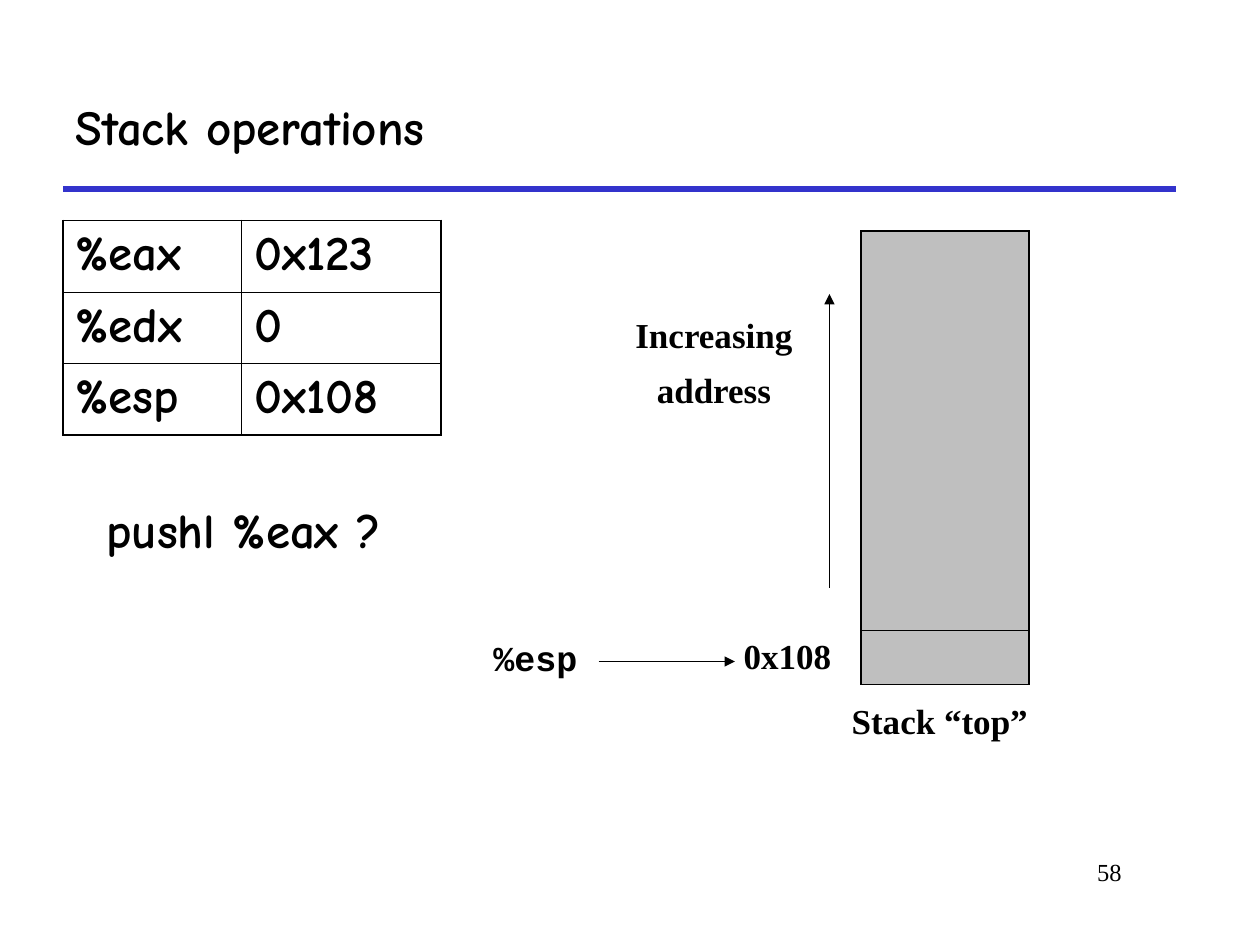
from dataclasses import dataclass

from lxml import etree
from pptx import Presentation
from pptx import util as u
from pptx.dml.color import RGBColor
from pptx.enum import shapes, text
from pptx.oxml.ns import qn


@dataclass(frozen=True)
class Theme:
    ink: str = "000000"
    paper: str = "FFFFFF"
    rule: str = "3333CC"
    stack: str = "808080"
    stack_alpha: int = 50000
    casual: str = "Comic Neue"
    serif: str = "Times New Roman"
    mono: str = "Courier New"
    heading: float = 28
    label: float = 20
    footer: float = 14
    thin: float = 0.75
    thick: float = 3
    inner: float = 0.45
    outer: float = 1.08


THEME = Theme()
WIDTH, HEIGHT = u.Inches(10), u.Inches(7.5)
COLUMNS, ROWS = 120, 90
LEFT, CENTER, RIGHT = (
    text.PP_ALIGN.LEFT, text.PP_ALIGN.CENTER, text.PP_ALIGN.RIGHT)


def across(columns):
    return round(WIDTH * columns / COLUMNS)


def down(rows):
    return round(HEIGHT * rows / ROWS)


def area(left, top, width, height):
    return across(left), down(top), across(width), down(height)


def write(frame, lines, face, size, align=LEFT, before=0, spacing=None, bold=True):
    frame.text = "\n".join(lines)
    for paragraph in frame.paragraphs:
        paragraph.alignment = align
        paragraph.space_before = u.Pt(before)
        paragraph.line_spacing = spacing
        paragraph.font.name = face
        paragraph.font.size = u.Pt(size)
        paragraph.font.bold = bold
        paragraph.font.color.rgb = RGBColor.from_string(THEME.ink)


def add_text(slide, place, lines, face, size, wrap=True,
             anchor=text.MSO_ANCHOR.TOP, **style):
    frame = slide.shapes.add_textbox(*area(*place)).text_frame
    frame.word_wrap = wrap
    frame.vertical_anchor = anchor
    write(frame, lines, face, size, **style)


def add_label(slide, place, lines, face=THEME.serif, spacing=None):
    add_text(slide, place, lines, face, THEME.label,
             align=CENTER, before=12.5, spacing=spacing)


def add_boxed_label(slide, place, caption):
    box = slide.shapes.add_shape(shapes.MSO_SHAPE.RECTANGLE, *area(*place))
    box.shadow.inherit = False
    box.fill.background()
    box.line.color.rgb = RGBColor.from_string(THEME.paper)
    box.line.width = u.Pt(THEME.thin)
    box.text_frame.word_wrap = True
    box.text_frame.vertical_anchor = text.MSO_ANCHOR.TOP
    write(box.text_frame, [caption], THEME.serif, THEME.label,
          align=CENTER, before=12.5)


def add_line(slide, start, end, color, weight, arrow=False):
    line = slide.shapes.add_connector(
        shapes.MSO_CONNECTOR.STRAIGHT,
        across(start[0]), down(start[1]), across(end[0]), down(end[1]))
    line.line.color.rgb = RGBColor.from_string(color)
    line.line.width = u.Pt(weight)
    if arrow:
        etree.SubElement(line.line._get_or_add_ln(), qn("a:tailEnd"), type="triangle")
    etree.SubElement(line._element.spPr, qn("a:effectLst"))


def set_borders(cell, outer_sides):
    properties = cell._tc.get_or_add_tcPr()
    for side in "LRTB":
        weight = THEME.outer if side in outer_sides else THEME.inner
        border = etree.SubElement(
            properties, qn(f"a:ln{side}"), w=str(u.Pt(weight)))
        fill = etree.SubElement(border, qn("a:solidFill"))
        etree.SubElement(fill, qn("a:srgbClr"), val=THEME.ink)


def add_grid(slide, left, top, widths, heights, outer_bottom=True):
    table = slide.shapes.add_table(
        len(heights), len(widths),
        *area(left, top, sum(widths), sum(heights))).table
    table.first_row = table.horz_banding = False
    for column, width in zip(table.columns, widths):
        column.width = across(width)
    for row, height in zip(table.rows, heights):
        row.height = down(height)
    last_row, last_column = len(heights) - 1, len(widths) - 1
    for r in range(len(heights)):
        for c in range(len(widths)):
            edges = {"L": c == 0, "R": c == last_column,
                     "T": r == 0, "B": r == last_row and outer_bottom}
            cell = table.cell(r, c)
            set_borders(cell, [side for side, outer in edges.items() if outer])
            cell.fill.background()
    return table


def add_registers(slide, registers):
    table = add_grid(slide, 6, 21, [17, 19], [6.8] * len(registers))
    for r, register in enumerate(registers):
        for c, entry in enumerate(register):
            write(table.cell(r, c).text_frame, [entry],
                  THEME.casual, THEME.heading, before=7)


def add_stack(slide):
    table = add_grid(slide, 82, 22, [16], [38, 5.2], outer_bottom=False)
    for cell in table.iter_cells():
        cell.fill.solid()
        cell.fill.fore_color.rgb = RGBColor.from_string(THEME.stack)
        shade = cell._tc.tcPr.find(qn("a:solidFill")).find(qn("a:srgbClr"))
        etree.SubElement(shade, qn("a:alpha"), val=str(THEME.stack_alpha))


def main():
    deck = Presentation()
    deck.slide_width, deck.slide_height = WIDTH, HEIGHT
    slide = deck.slides.add_slide(deck.slide_layouts[6])

    add_line(slide, (6, 18), (112, 18), THEME.rule, THEME.thick)
    add_text(slide, (91, 81, 17, 6), ["58"], THEME.serif, THEME.footer,
             align=RIGHT, bold=False)
    add_text(slide, (6, 6, 106, 12), ["Stack operations"], THEME.casual,
             THEME.heading, anchor=text.MSO_ANCHOR.MIDDLE)
    add_registers(slide, [("%eax", "0x123"), ("%edx", "0"), ("%esp", "0x108")])
    add_line(slide, (79, 56), (79, 28), THEME.ink, THEME.thin, arrow=True)
    add_label(slide, (59, 30, 18, 9.7), ["Increasing", "address"], spacing=0.8)
    add_text(slide, (4.4, 47, 37.6, 6.8), ["pushl %eax ?"], THEME.casual,
             THEME.heading, wrap=False, align=CENTER)
    add_boxed_label(slide, (79, 66, 21, 5.3), "Stack “top”")
    add_stack(slide)
    add_boxed_label(slide, (69, 59.8, 12, 5.3), "0x108")
    add_label(slide, (45, 60, 12, 5.3), ["%esp"], face=THEME.mono)
    add_line(slide, (57, 63), (70, 63), THEME.ink, THEME.thin, arrow=True)

    deck.save("out.pptx")


if __name__ == "__main__":
    main()
